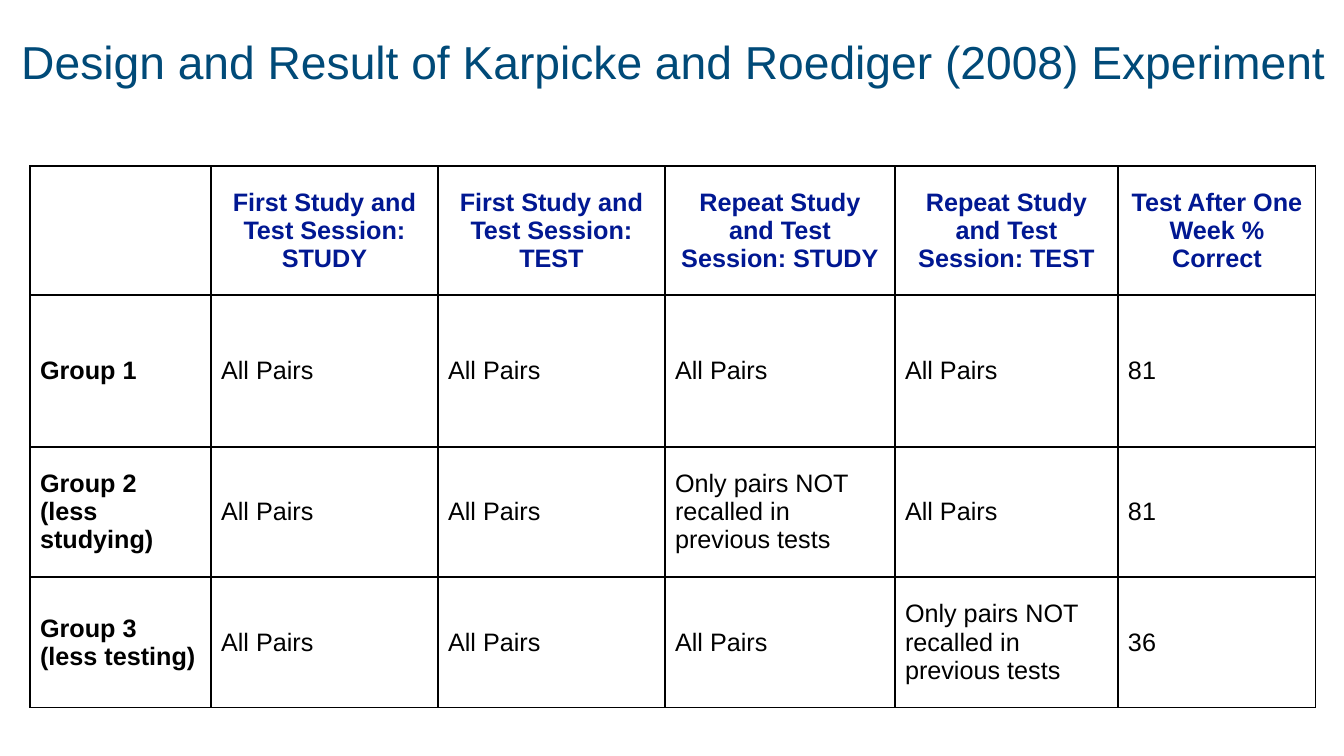
from lxml.etree import SubElement
from pptx import Presentation
from pptx.dml.color import RGBColor
from pptx.enum.text import MSO_ANCHOR, PP_ALIGN
from pptx.oxml.ns import qn
from pptx.util import Pt

EMU_PER_PX = 914400 / 100.8
FONT = "Arial"
TITLE_BLUE = RGBColor(0x00, 0x4A, 0x78)
HEADER_BLUE = RGBColor(0x01, 0x18, 0x92)
BLACK = RGBColor(0x00, 0x00, 0x00)
WHITE = RGBColor(0xFF, 0xFF, 0xFF)

TITLE = "Design and Result of Karpicke and Roediger (2008) Experiment"
ALL = "All Pairs"
MISSED = "Only pairs NOT recalled in previous tests"
DESIGN = [
    ["", "First Study and Test Session: STUDY", "First Study and Test Session: TEST",
     "Repeat Study and Test Session: STUDY", "Repeat Study and Test Session: TEST",
     "Test After One Week % Correct"],
    ["Group 1", ALL, ALL, ALL, ALL, "81"],
    ["Group 2\n(less studying)", ALL, ALL, MISSED, ALL, "81"],
    ["Group 3\n(less testing)", ALL, ALL, ALL, MISSED, "36"],
]
COLUMN_WIDTHS = [181, 227, 227, 230, 223, 198]
ROW_HEIGHTS = [129, 152, 130, 131]


def px(length):
    return round(length * EMU_PER_PX)


def style_paragraph(paragraph, size, color, bold, align):
    paragraph.alignment = align
    font = paragraph.font
    font.name = FONT
    font.size = Pt(size)
    font.bold = bold
    font.color.rgb = color


def add_title(slide, left, top, width, height):
    title = slide.shapes.add_textbox(px(left), px(top), px(width), px(height))
    frame = title.text_frame
    frame.word_wrap = True
    frame.vertical_anchor = MSO_ANCHOR.MIDDLE
    frame.margin_left = frame.margin_right = frame.margin_top = frame.margin_bottom = 0
    frame.text = TITLE
    heading = frame.paragraphs[0]
    heading.line_spacing = 0.9
    style_paragraph(heading, 33, TITLE_BLUE, False, PP_ALIGN.CENTER)


def add_borders(cell):
    properties = cell._tc.get_or_add_tcPr()
    for side in ("lnL", "lnR", "lnT", "lnB"):
        border = SubElement(properties, qn(f"a:{side}"), w=str(Pt(1)))
        fill = SubElement(border, qn("a:solidFill"))
        SubElement(fill, qn("a:srgbClr"), val=str(BLACK))


def fill_cell(cell, text, is_header, is_group):
    add_borders(cell)
    cell.fill.solid()
    cell.fill.fore_color.rgb = WHITE
    cell.vertical_anchor = MSO_ANCHOR.MIDDLE
    cell.text = text
    color = HEADER_BLUE if is_header else BLACK
    align = PP_ALIGN.CENTER if is_header else PP_ALIGN.LEFT
    for paragraph in cell.text_frame.paragraphs:
        style_paragraph(paragraph, 18, color, is_header or is_group, align)


def add_design_table(slide, left, top):
    design = slide.shapes.add_table(
        len(ROW_HEIGHTS), len(COLUMN_WIDTHS), px(left), px(top),
        px(sum(COLUMN_WIDTHS)), px(sum(ROW_HEIGHTS))).table
    design.first_row = design.horz_banding = False
    for column, width in zip(design.columns, COLUMN_WIDTHS):
        column.width = px(width)
    for row, height in zip(design.rows, ROW_HEIGHTS):
        row.height = px(height)
    for r, entries in enumerate(DESIGN):
        for c, entry in enumerate(entries):
            fill_cell(design.cell(r, c), entry, is_header=r == 0, is_group=c == 0)


def main():
    presentation = Presentation()
    presentation.slide_width = px(1344)
    presentation.slide_height = px(756)
    slide = presentation.slides.add_slide(presentation.slide_layouts[6])
    add_title(slide, 13, 10, 1321, 109)
    add_design_table(slide, 30, 166)
    presentation.save("out.pptx")


if __name__ == "__main__":
    main()
